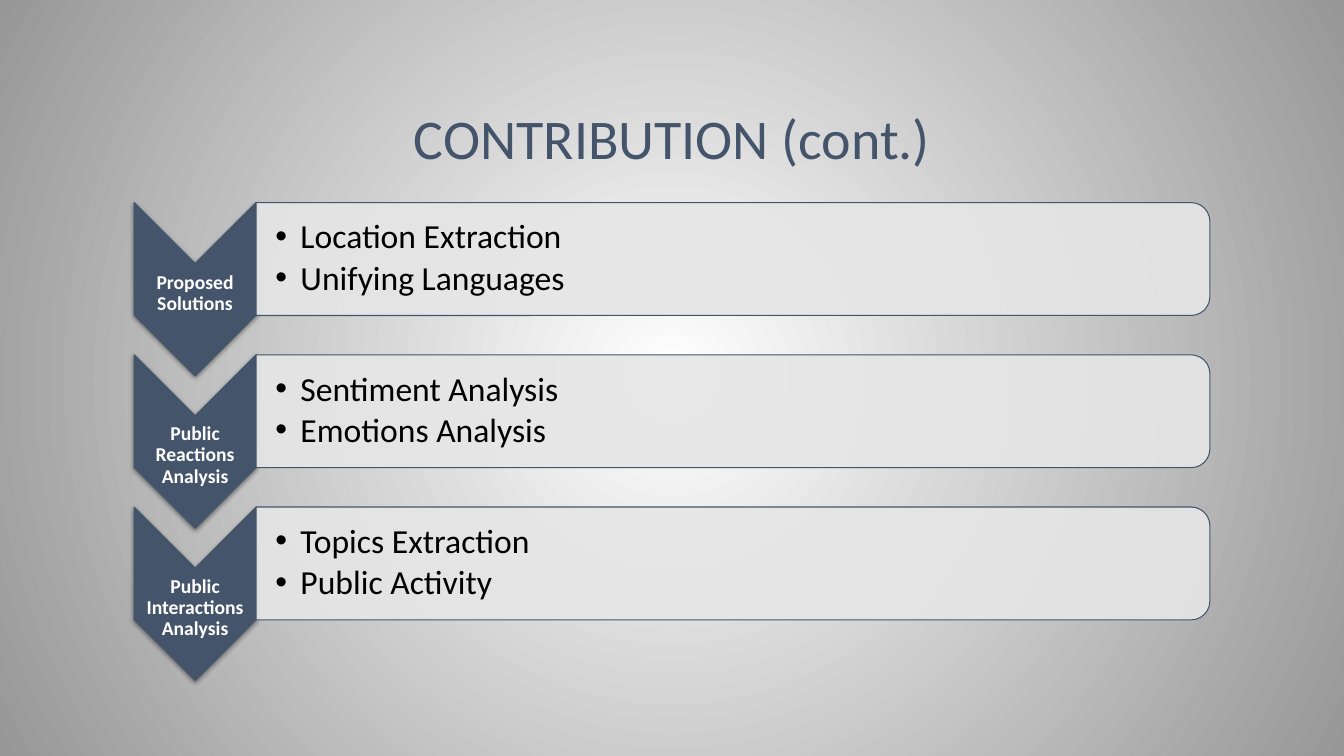
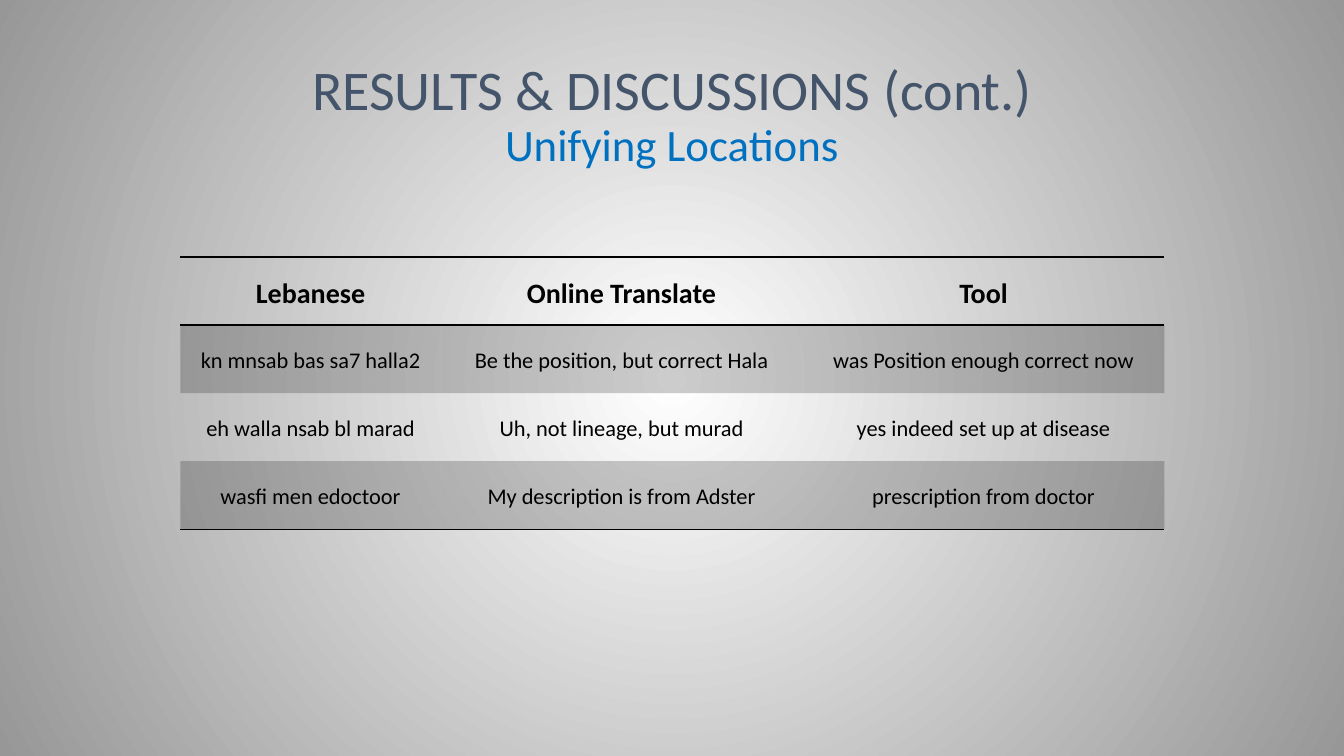
from lxml import etree
from pptx import Presentation
from pptx.dml.color import RGBColor
from pptx.enum.shapes import MSO_SHAPE
from pptx.enum.text import MSO_ANCHOR, MSO_AUTO_SIZE, PP_ALIGN
from pptx.oxml.ns import qn
from pptx.util import Inches, Pt

CHEVRON = MSO_SHAPE.CHEVRON
BAR = MSO_SHAPE.ROUND_2_SAME_RECTANGLE
CENTER, LEFT = PP_ALIGN.CENTER, PP_ALIGN.LEFT
MIDDLE, BOTTOM = MSO_ANCHOR.MIDDLE, MSO_ANCHOR.BOTTOM
rgb = RGBColor.from_string

FONT = "Calibri"
SLATE, BLUE, BLACK, WHITE = "44546A", "0070C0", "000000", "FFFFFF"
PALE, GRAY = "E7E6E6", "979797"
NO_STYLE = "{2D5ABB26-0587-4C30-8999-92F81FD0307C}"

TITLE_BOX = {"left": Inches(1.33), "top": Inches(0.3),
             "width": Inches(10.67), "height": Inches(1.45)}
TITLE_FRAME = {"vertical_anchor": BOTTOM, "word_wrap": True,
               "auto_size": MSO_AUTO_SIZE.NONE}
LABEL_FRAME = {"vertical_anchor": MIDDLE, "word_wrap": True,
               "margin_left": Inches(0.01), "margin_right": Inches(0.01),
               "margin_top": Inches(0.01), "margin_bottom": Inches(0.01)}
BULLET_FRAME = {"vertical_anchor": MIDDLE, "word_wrap": True,
                "margin_left": Inches(0.19), "margin_right": Inches(0.02),
                "margin_top": Inches(0.02), "margin_bottom": Inches(0.02)}
CELL_FRAME = {"vertical_anchor": MIDDLE,
              "margin_left": Inches(0.07), "margin_right": Inches(0.07),
              "margin_top": 0, "margin_bottom": 0}
CENTERED = {"alignment": CENTER, "line_spacing": 0.9, "space_before": Pt(0)}
BULLETED = {"alignment": LEFT, "line_spacing": 0.9, "space_after": Pt(3.6)}
CELL_PARA = {"alignment": CENTER, "line_spacing": 1.15, "space_after": Pt(6)}


def apply(obj, values):
    for name, value in values.items():
        setattr(obj, name, value)


def write(p, text, para, size, color, bold=False):
    apply(p, para)
    r = p.add_run()
    r.text = text
    apply(r.font, {"name": FONT, "size": Pt(size), "bold": bold})
    r.font.color.rgb = rgb(color)


prs = Presentation()
prs.slide_width, prs.slide_height = Inches(13.33), Inches(7.5)

master = prs.slide_master
fill = master.background.fill
fill.gradient()
for stop, color in zip(fill.gradient_stops, (WHITE, GRAY)):
    stop.color.rgb = rgb(color)
grad = master.element.xpath("./p:cSld/p:bg//a:gradFill")[0]
grad.remove(grad.find(qn("a:lin")))
path = etree.SubElement(grad, qn("a:path"), {"path": "circle"})
etree.SubElement(path, qn("a:fillToRect"), dict.fromkeys("ltrb", "50000"))

titles = [("CONTRIBUTION (cont.)", None),
          ("RESULTS & DISCUSSIONS (cont.)", "Unifying Locations")]
slides = []
for title, subtitle in titles:
    s = prs.slides.add_slide(prs.slide_layouts[5])
    apply(s.shapes.title, TITLE_BOX)
    tf = s.shapes.title.text_frame
    apply(tf, TITLE_FRAME)
    p = tf.paragraphs[0]
    write(p, title, CENTERED, 40, SLATE)
    if subtitle:
        p.add_line_break()
        write(p, subtitle, CENTERED, 32, BLUE)
    slides.append(s)
contribution, results = slides

steps = [
    ("Proposed Solutions", 0.64, ["Location Extraction", "Unifying Languages"]),
    ("Public Reactions Analysis", 0.74, ["Sentiment Analysis", "Emotions Analysis"]),
    ("Public Interactions Analysis", 0.74, ["Topics Extraction", "Public Activity"]),
]
shapes = contribution.shapes
for i, (label, label_drop, bullets) in enumerate(steps):
    top = 2.01 + 1.51 * i
    outlines = [(CHEVRON, 1.33, 1.21, 1.72, SLATE), (BAR, 2.54, 9.46, 1.12, PALE)]
    for kind, left, width, height, color in outlines:
        sp = shapes.add_shape(kind, Inches(left + (width - height) / 2),
                              Inches(top + (height - width) / 2),
                              Inches(height), Inches(width))
        sp.rotation = 90
        sp.shadow.inherit = False
        sp.fill.solid()
        sp.fill.fore_color.rgb = rgb(color)
        sp.line.color.rgb = rgb(SLATE)
        sp.line.width = Pt(0.75)
        if kind == CHEVRON:
            effects = sp.element.spPr.find(qn("a:effectLst"))
            shadow = etree.SubElement(effects, qn("a:outerShdw"), {
                "blurRad": str(Pt(3.5)), "dist": str(Pt(1.1)),
                "dir": "5400000", "rotWithShape": "0"})
            tint, alpha = etree.SubElement(shadow, qn("a:srgbClr"), val=BLACK), "45000"
        else:
            tint, alpha = sp.element.xpath("./p:spPr/a:solidFill/a:srgbClr")[0], "90000"
        etree.SubElement(tint, qn("a:alpha"), val=alpha)

    tf = shapes.add_textbox(Inches(1.33), Inches(top + label_drop),
                            Inches(1.21), Inches(0.52)).text_frame
    apply(tf, LABEL_FRAME)
    write(tf.paragraphs[0], label, CENTERED, 14, WHITE, True)

    tf = shapes.add_textbox(Inches(2.54), Inches(top + 0.05),
                            Inches(9.41), Inches(1.01)).text_frame
    apply(tf, BULLET_FRAME)
    for n, bullet in enumerate(bullets):
        p = tf.add_paragraph() if n else tf.paragraphs[0]
        write(p, bullet, BULLETED, 24, BLACK)
        pPr = p._p.get_or_add_pPr()
        pPr.set("marL", str(Inches(0.25)))
        pPr.set("indent", str(-Inches(0.25)))
        etree.SubElement(pPr, qn("a:buFont"), typeface="Arial")
        etree.SubElement(pPr, qn("a:buChar"), char="•")

rows = [
    ("Lebanese", "Online Translate", "Tool"),
    ("kn mnsab bas sa7 halla2", "Be the position, but correct Hala",
     "was Position enough correct now"),
    ("eh walla nsab bl marad", "Uh, not lineage, but murad",
     "yes indeed set up at disease"),
    ("wasfi men edoctoor", "My description is from Adster",
     "prescription from doctor"),
]
borders = {0: ("a:lnT", "a:lnB"), len(rows) - 1: ("a:lnB",)}
frame = results.shapes.add_table(len(rows), 3, Inches(1.79), Inches(2.55),
                                 Inches(9.75), Inches(2.7))
frame.element.xpath(".//a:tableStyleId")[0].text = NO_STYLE
table = frame.table
for column, width in zip(table.columns, (2.58, 3.59, 3.59)):
    column.width = Inches(width)
for i, row in enumerate(rows):
    for j, text in enumerate(row):
        cell = table.cell(i, j)
        apply(cell, CELL_FRAME)
        write(cell.text_frame.paragraphs[0], text, CELL_PARA,
              16 if i else 20, BLACK, i == 0)
        tcPr = cell._tc.get_or_add_tcPr()
        if i % 2:
            cell.fill.solid()
            cell.fill.fore_color.rgb = rgb(BLACK)
            tint = tcPr.xpath("./a:solidFill/a:srgbClr")[0]
            etree.SubElement(tint, qn("a:alpha"), val="20000")
        else:
            cell.fill.background()
        for n, edge in enumerate(borders.get(i, ())):
            ln = etree.Element(qn(edge), w=str(Pt(1)))
            solid = etree.SubElement(ln, qn("a:solidFill"))
            etree.SubElement(solid, qn("a:srgbClr"), val=BLACK)
            tcPr.insert(n, ln)

prs.save("out.pptx")
